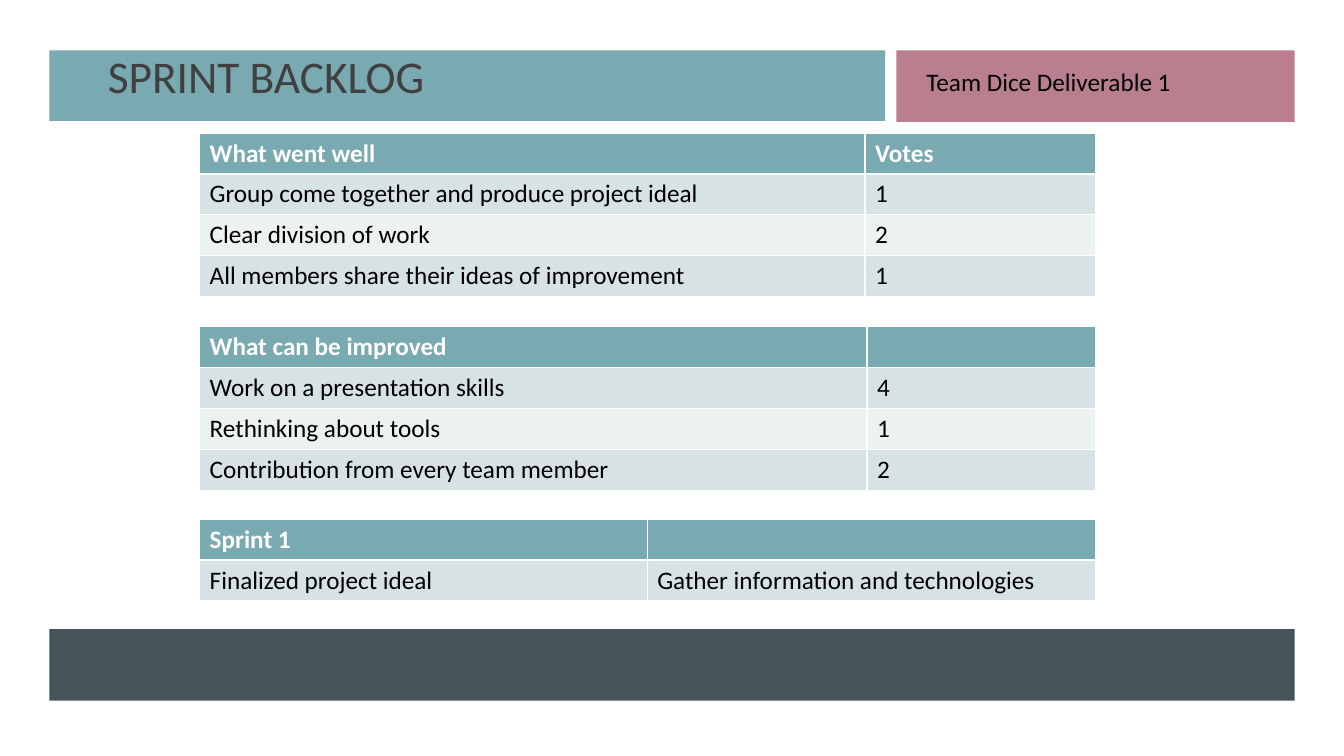
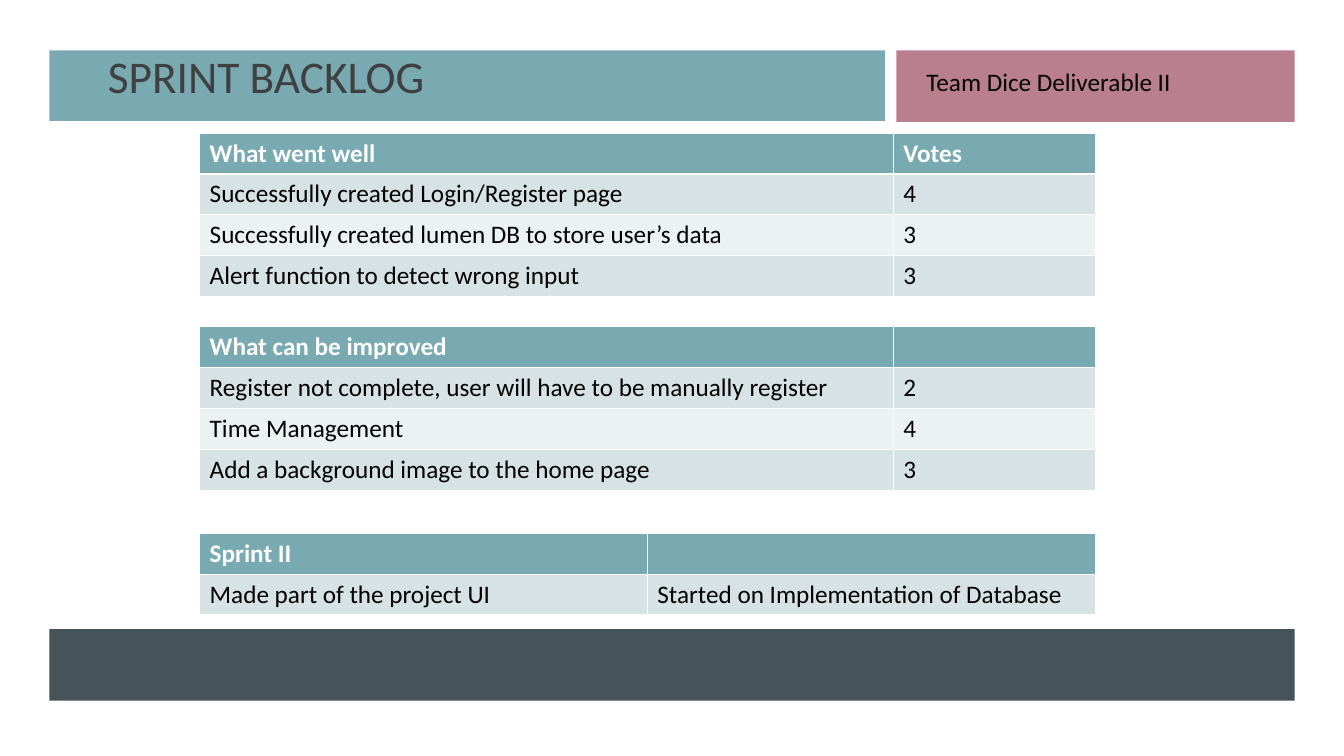
from pptx import Presentation
from pptx.dml.color import RGBColor
from pptx.enum.shapes import MSO_SHAPE
from pptx.enum.text import MSO_ANCHOR, MSO_AUTO_SIZE, PP_ALIGN
from pptx.util import Inches, Pt

RECT = MSO_SHAPE.RECTANGLE
BOTTOM = MSO_ANCHOR.BOTTOM
FIXED = MSO_AUTO_SIZE.NONE
LEFT = PP_ALIGN.LEFT

TEAL = RGBColor(0x79, 0xAA, 0xB2)
ROSE = RGBColor(0xBA, 0x7F, 0x8F)
SLATE = RGBColor(0x46, 0x53, 0x59)
GRAY = RGBColor(0x40, 0x40, 0x40)
BLACK = RGBColor(0, 0, 0)
WHITE = RGBColor(0xFF, 0xFF, 0xFF)
STRIPES = [RGBColor(0xEC, 0xF1, 0xF2), RGBColor(0xD7, 0xE2, 0xE4)]

BANDS = [
    (0.49, 0.5, 8.29, 0.7, TEAL),
    (8.89, 0.5, 3.95, 0.71, ROSE),
    (0.49, 6.24, 12.35, 0.71, SLATE),
]
HEAD = {"name": "Calibri", "size": Pt(32.4), "color": GRAY}
BODY = {"name": "Calibri", "size": Pt(18), "color": BLACK, "bold": False}
TOP = {**BODY, "color": WHITE, "bold": True}
ROW = 0.4
WIDE = 8.89

SLIDES = [
    ("Team Dice Deliverable 1", [
        (1.32, 6.6, [
            ("What went well", "Votes"),
            ("Group come together and produce project ideal", "1"),
            ("Clear division of work", "2"),
            ("All members share their ideas of improvement", "1"),
        ]),
        (3.24, 6.62, [
            ("What can be improved", ""),
            ("Work on a presentation skills", "4"),
            ("Rethinking about tools", "1"),
            ("Contribution from every team member", "2"),
        ]),
        (5.15, 4.44, [
            ("Sprint 1", ""),
            ("Finalized project ideal", "Gather information and technologies"),
        ]),
    ]),
    ("Team Dice Deliverable II", [
        (1.32, 6.88, [
            ("What went well", "Votes"),
            ("Successfully created Login/Register page", "4"),
            ("Successfully created lumen DB to store user’s data", "3"),
            ("Alert function to detect wrong input", "3"),
        ]),
        (3.24, 6.88, [
            ("What can be improved", ""),
            ("Register not complete, user will have to be manually register", "2"),
            ("Time Management", "4"),
            ("Add a background image to the home page", "3"),
        ]),
        (5.29, 4.44, [
            ("Sprint II", ""),
            ("Made part of the project UI", "Started on Implementation of Database"),
        ]),
    ]),
]


def write(frame, text, style):
    para = frame.paragraphs[0]
    para.alignment = LEFT
    run = para.add_run()
    run.text = text
    for key, value in style.items():
        if key == "color":
            run.font.color.rgb = value
        else:
            setattr(run.font, key, value)


def place(shape, *box):
    for key, value in zip(("left", "top", "width", "height"), box):
        setattr(shape, key, Inches(value))


deck = Presentation()
deck.slide_width = Inches(13.33)
deck.slide_height = Inches(7.5)
layout = deck.slide_layouts.get_by_name("Title Only")

for label, tables in SLIDES:
    slide = deck.slides.add_slide(layout)
    shapes = slide.shapes
    title = shapes.title
    place(title, 0.97, 0.61, 6.06, 0.47)
    frame = title.text_frame
    frame.auto_size = FIXED
    frame.vertical_anchor = BOTTOM
    frame.paragraphs[0].line_spacing = 0.9
    write(frame, "SPRINT BACKLOG", HEAD)

    for *box, color in BANDS:
        band = shapes.add_shape(RECT, *map(Inches, box))
        band.shadow.inherit = False
        band.fill.solid()
        band.fill.fore_color.rgb = color
        band.line.fill.background()
        title.element.addprevious(band.element)

    for top, split, rows in tables:
        box = (1.98, top, WIDE, ROW * len(rows))
        table = shapes.add_table(len(rows), 2, *map(Inches, box)).table
        table.columns[0].width = Inches(split)
        table.columns[1].width = Inches(WIDE - split)
        for r, row in enumerate(rows):
            for c, text in enumerate(row):
                cell = table.cell(r, c)
                cell.fill.solid()
                cell.fill.fore_color.rgb = STRIPES[r % 2] if r else TEAL
                if text:
                    write(cell.text_frame, text, BODY if r else TOP)

    note = shapes.add_textbox(*map(Inches, (9.09, 0.61, 3.04, 0.4)))
    note.text_frame.word_wrap = True
    write(note.text_frame, label, BODY)

deck.save("out.pptx")
